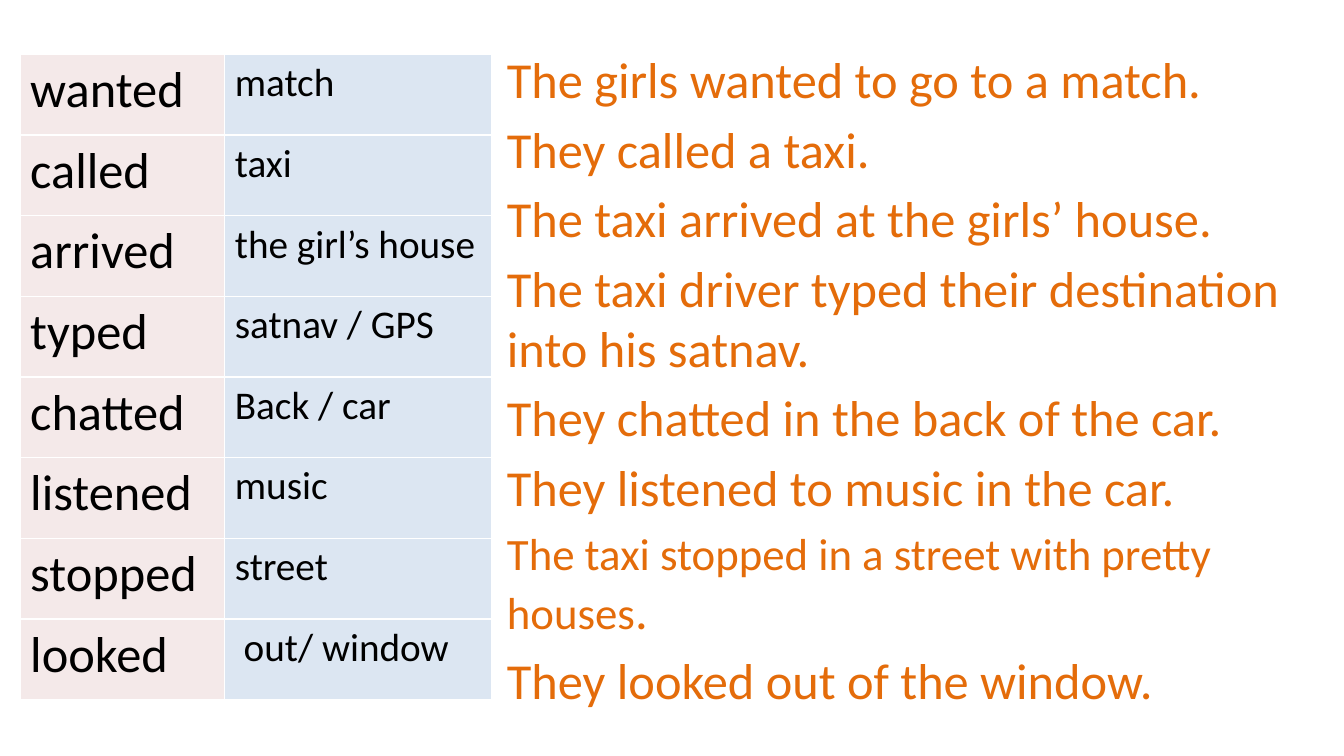
from pptx import Presentation
from pptx.dml.color import RGBColor
from pptx.enum.text import MSO_ANCHOR
from pptx.oxml.ns import qn
from pptx.util import Pt
from lxml.etree import SubElement

PX = 9144  # 100 px to the inch
FONT = "Calibri"
BLACK = RGBColor(0x00, 0x00, 0x00)
ORANGE = RGBColor(0xE4, 0x6C, 0x0A)
PINK = RGBColor(0xF4, 0xE9, 0xE9)
BLUE = RGBColor(0xDC, 0xE6, 0xF2)
WHITE = RGBColor(0xFF, 0xFF, 0xFF)

PROMPTS = [
    ("wanted", "match"),
    ("called", "taxi"),
    ("arrived", "the girl’s house"),
    ("typed", "satnav / GPS"),
    ("chatted", "Back / car"),
    ("listened", "music"),
    ("stopped", "street"),
    ("looked", " out/ window"),
]
# width in px, text size, fill
COLUMNS = [(203, 36, PINK), (265, 28, BLUE)]
ROW_HEIGHT = 80

SENTENCES = [
    [("The girls wanted to go to a match.", 36)],
    [("They called a taxi.", 36)],
    [("The taxi arrived at the girls’ house.", 36)],
    [("The taxi driver typed their destination into his satnav.", 36)],
    [("They chatted in the back of the car.", 36)],
    [("They listened to music in the car.", 36)],
    [("The taxi stopped in a street with pretty houses", 32), (".", 36)],
    [("They looked out of the window.", 36)],
]


def px(*lengths):
    return [n * PX for n in lengths]


def add_run(p, text, size, color):
    r = p.add_run()
    r.text = text
    r.font.name = FONT
    r.font.size = Pt(size)
    r.font.color.rgb = color


def set_borders(cell, color, width):
    tcPr = cell._tc.get_or_add_tcPr()
    for i, side in enumerate(("a:lnL", "a:lnR", "a:lnT", "a:lnB")):
        ln = tcPr.makeelement(qn(side), {"w": str(Pt(width))})
        fill = SubElement(ln, qn("a:solidFill"))
        SubElement(fill, qn("a:srgbClr"), val=str(color))
        tcPr.insert(i, ln)


def add_sentences(s):
    tf = s.shapes.add_textbox(*px(493, 43, 820, 645)).text_frame
    tf.word_wrap = True
    tf.vertical_anchor = MSO_ANCHOR.TOP
    for i, runs in enumerate(SENTENCES):
        p = tf.paragraphs[0] if i == 0 else tf.add_paragraph()
        if i:
            p.space_before = Pt(6.4)
        for text, size in runs:
            add_run(p, text, size, ORANGE)


def add_prompts(s):
    width = sum(column[0] for column in COLUMNS)
    rows = len(PROMPTS)
    frame = s.shapes.add_table(rows, len(COLUMNS),
                               *px(20, 54, width, rows * ROW_HEIGHT))
    table = frame.table
    for row in table.rows:
        row.height = ROW_HEIGHT * PX
    for c, (col_width, size, fill) in enumerate(COLUMNS):
        table.columns[c].width = col_width * PX
        for r, words in enumerate(PROMPTS):
            cell = table.cell(r, c)
            cell.fill.solid()
            cell.fill.fore_color.rgb = fill
            set_borders(cell, WHITE, 1)
            add_run(cell.text_frame.paragraphs[0], words[c], size, BLACK)


def main():
    prs = Presentation()
    prs.slide_width, prs.slide_height = px(1333, 750)
    s = prs.slides.add_slide(prs.slide_layouts[6])
    add_sentences(s)
    add_prompts(s)
    prs.save("out.pptx")


if __name__ == "__main__":
    main()
